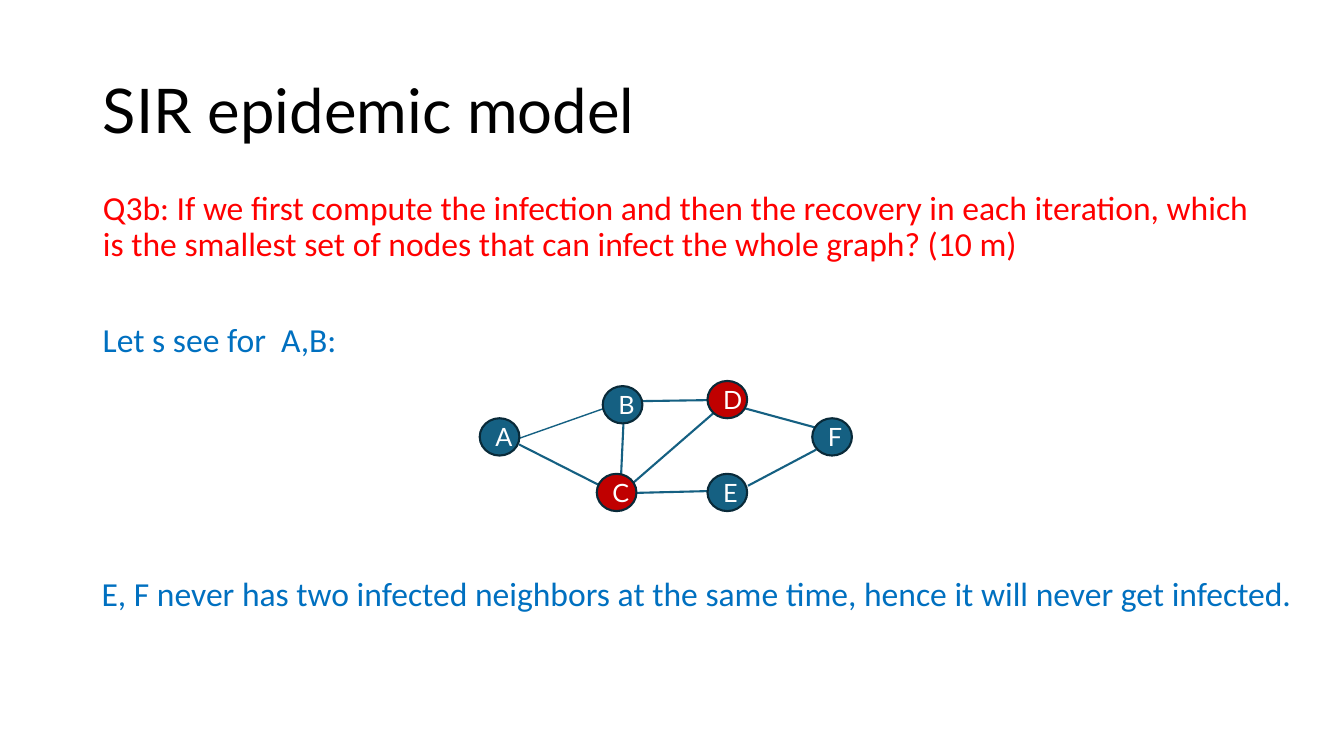
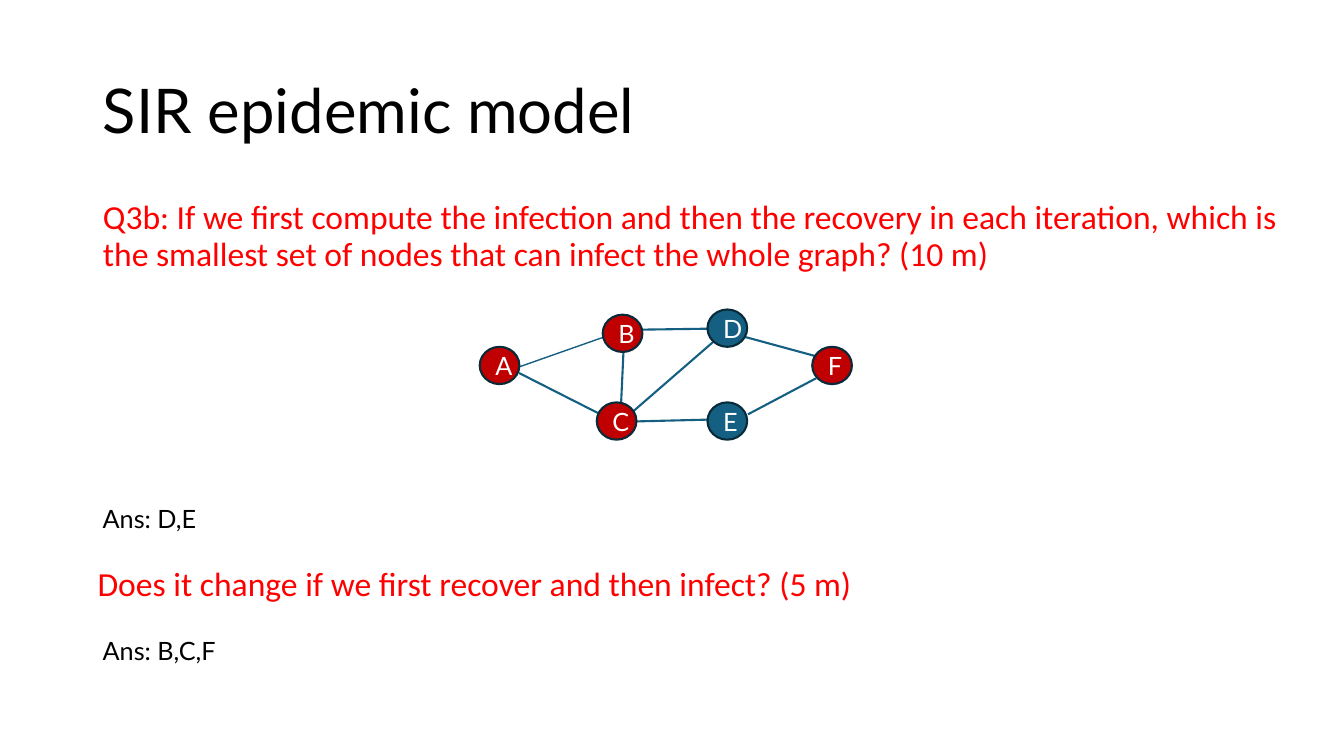
import pptx
import pptx.util
import pptx.dml.color
import pptx.enum.shapes
import pptx.enum.text
import pptx.oxml

Cm = pptx.util.Cm
Pt = pptx.util.Pt

RED = "FF0000"
BLUE = "0070C0"
BLACK = "000000"
WHITE = "FFFFFF"
TEAL = "156082"
RIM = "092A39"
SICK = "C00000"

ASK = ("Q3b: If we first compute the infection and then the recovery in each iteration, "
       "which is the smallest set of nodes that can infect the whole graph? (10 m)")

NODES = {
    "A": (12.09, 10.54),
    "B": (15.19, 9.73),
    "C": (15.04, 11.94),
    "D": (17.83, 9.6),
    "E": (17.83, 11.94),
    "F": (20.47, 10.54),
}
LINKS = [
    (13.08, 11.2, 15.19, 12.27, 1.5),
    (12.93, 11.1, 15.37, 10.24, 1),
    (15.72, 10.49, 15.65, 12.01, 1.5),
    (18.05, 10.35, 15.86, 12.25, 1.5),
    (18.01, 10.08, 16, 10.11, 1.5),
    (18.03, 12.37, 16.03, 12.42, 1.5),
    (20.57, 11.33, 18.85, 12.24, 1.5),
    (20.65, 10.8, 18.77, 10.29, 1.5),
]
PAGES = [
    {
        "body": (4.7, 29.87, 2.46),
        "rise": 0,
        "sick": "CD",
        "notes": [
            (2.31, 14.43, 30.73, 1.17, "E, F never has two infected neighbors at the same time, "
             "hence it will never get infected.", 24, "Calibri", BLUE, 0.9, 10),
            (2.34, 7.92, 12.29, 1.27, "Let s see for  A,B:", 24, "Calibri", BLUE, 1, 0),
        ],
    },
    {
        "body": (4.93, 31.37, 2.84),
        "rise": 1.8,
        "sick": "ABCF",
        "notes": [
            (2.34, 12.57, 7.62, 1.02, "Ans: D,E", 18, "Lato", BLACK, 1, 0),
            (2.21, 14.07, 31.27, 1.27, "Does it change if we first recover and then infect? (5 m)",
             24, "Calibri", RED, 1, 0),
            (2.34, 15.88, 7.62, 1.02, "Ans: B,C,F", 18, "Lato", BLACK, 1, 0),
        ],
    },
]


def ink(code):
    return pptx.dml.color.RGBColor.from_string(code)


def put(shape, text, size, font, tint, line=1, gap=0, align="LEFT"):
    frame = shape.text_frame
    frame.word_wrap = True
    frame.auto_size = pptx.enum.text.MSO_AUTO_SIZE.NONE
    para = frame.paragraphs[0]
    para.alignment = getattr(pptx.enum.text.PP_ALIGN, align)
    para.line_spacing = line
    para.space_before = Pt(gap)
    run = para.add_run()
    run.text = text
    run.font.size = Pt(size)
    run.font.name = font
    run.font.color.rgb = ink(tint)
    return para


deck = pptx.Presentation()
deck.slide_width = Cm(33.87)
deck.slide_height = Cm(19.05)

for page in PAGES:
    slide = deck.slides.add_slide(deck.slide_layouts[1])
    shapes = slide.shapes

    title = shapes.title
    title.left, title.top, title.width, title.height = Cm(2.34), Cm(1.02), Cm(29.21), Cm(3.68)
    title.text_frame.vertical_anchor = pptx.enum.text.MSO_ANCHOR.MIDDLE
    put(title, "SIR epidemic model", 44, "Lato", BLACK, 0.9)

    body = slide.placeholders[1]
    top, wide, high = page["body"]
    body.left, body.top, body.width, body.height = Cm(2.34), Cm(top), Cm(wide), Cm(high)
    props = put(body, ASK, 24, "Calibri", RED, 0.9, 10)._p.get_or_add_pPr()
    props.set("marL", "0")
    props.set("indent", "0")
    props.append(pptx.oxml.parse_xml(
        '<a:buNone xmlns:a="http://schemas.openxmlformats.org/drawingml/2006/main"/>'))

    rise = page["rise"]
    for x1, y1, x2, y2, weight in LINKS:
        link = shapes.add_connector(pptx.enum.shapes.MSO_CONNECTOR.STRAIGHT,
                                    Cm(x1), Cm(y1 - rise), Cm(x2), Cm(y2 - rise))
        link.line.color.rgb = ink(TEAL)
        link.line.width = Pt(weight)
        link._element.spPr.append(pptx.oxml.parse_xml(
            '<a:effectLst xmlns:a="http://schemas.openxmlformats.org/drawingml/2006/main"/>'))

    for name, (x, y) in NODES.items():
        node = shapes.add_shape(pptx.enum.shapes.MSO_SHAPE.OVAL,
                                Cm(x), Cm(y - rise), Cm(1), Cm(0.94))
        node.shadow.inherit = False
        node.fill.solid()
        node.fill.fore_color.rgb = ink(SICK if name in page["sick"] else TEAL)
        node.line.color.rgb = ink(RIM)
        node.line.width = Pt(1.5)
        put(node, name, 18, "Lato", WHITE, align="CENTER")

    for x, y, wide, high, *style in page["notes"]:
        put(shapes.add_textbox(Cm(x), Cm(y), Cm(wide), Cm(high)), *style)

deck.save("out.pptx")
